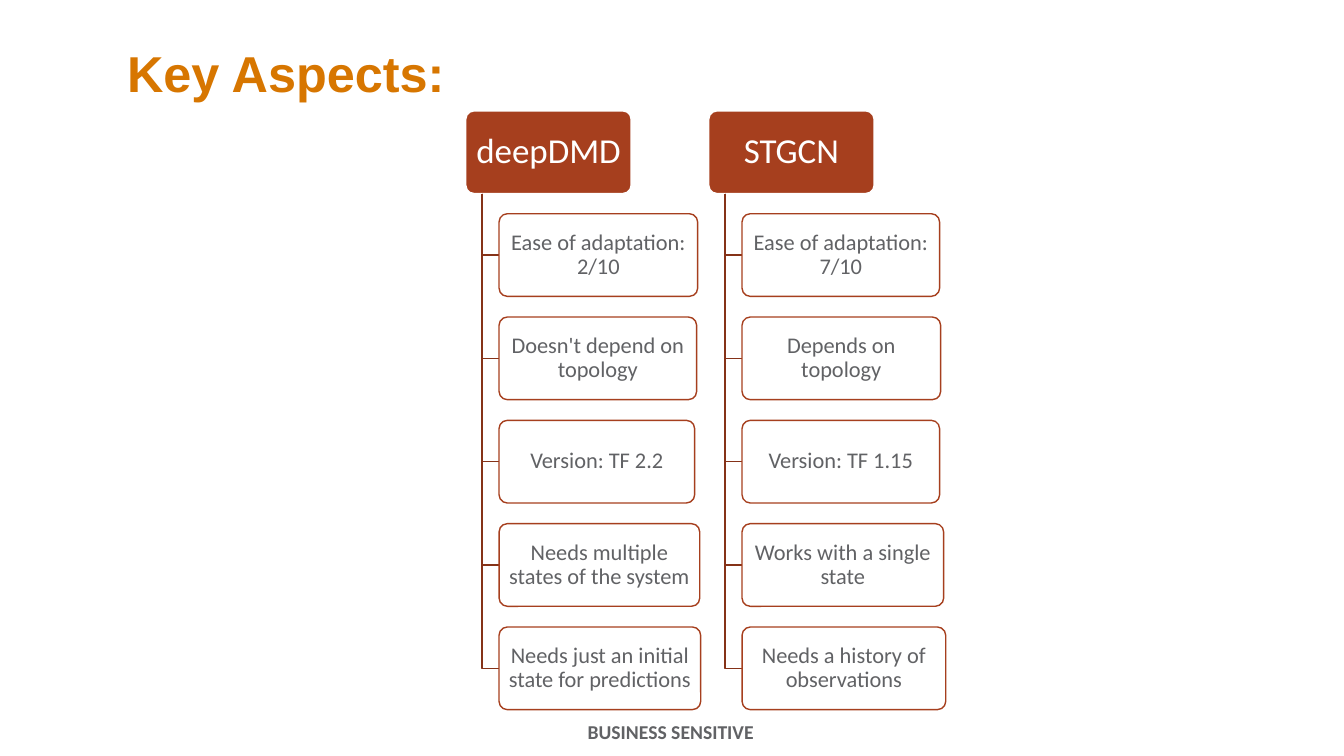
from lxml import etree
from pptx import Presentation
from pptx.dml.color import RGBColor
from pptx.enum.shapes import MSO_SHAPE
from pptx.enum.text import MSO_ANCHOR, PP_ALIGN
from pptx.oxml.ns import qn
from pptx.util import Inches, Pt

ORANGE = RGBColor(0xD7, 0x76, 0x00)
RUST = RGBColor(0xA6, 0x3F, 0x1E)
DARK_RUST = RGBColor(0x85, 0x32, 0x18)
GRAY = RGBColor(0x61, 0x62, 0x65)
WHITE = RGBColor(0xFF, 0xFF, 0xFF)

BOX_HEIGHT = 0.82
HEADER_TOP = 1.1
HEADER_WIDTH = 1.64
ROW_TOP = 2.12
ROW_STEP = 1.025
TRUNK_OFFSET = 0.16
BOX_OFFSET = 0.33

# Heading, left edge, and (text, box width) for each aspect
COLUMNS = [
    ("deepDMD", 4.62, [
        ("Ease of adaptation: 2/10", 1.97),
        ("Doesn't depend on topology", 1.96),
        ("Version: TF 2.2", 1.94),
        ("Needs multiple states of the system", 1.99),
        ("Needs just an initial state for predictions", 2.0),
    ]),
    ("STGCN", 7.03, [
        ("Ease of adaptation: 7/10", 1.96),
        ("Depends on topology", 1.97),
        ("Version: TF 1.15", 1.96),
        ("Works with a single state", 2.0),
        ("Needs a history of observations", 2.02),
    ]),
]


def set_attributes(target, values):
    for name, value in values.items():
        setattr(target, name, value)


def write_text(shape, text, size, color, font="Calibri", bold=False):
    paragraph = shape.text_frame.paragraphs[0]
    run = paragraph.add_run()
    run.text = text
    set_attributes(run.font, {"name": font, "size": Pt(size), "bold": bold})
    run.font.color.rgb = color
    return paragraph


def set_line(shape, color):
    shape.shadow.inherit = False
    shape.line.color.rgb = color
    shape.line.width = Pt(1)


def add_box(slide, left, top, width, text, size, fill, line, color, margins):
    shape = slide.shapes.add_shape(
        MSO_SHAPE.ROUNDED_RECTANGLE,
        Inches(left), Inches(top), Inches(width), Inches(BOX_HEIGHT))
    shape.adjustments[0] = 0.1
    shape.fill.solid()
    shape.fill.fore_color.rgb = fill
    set_line(shape, line)
    side, end = (Inches(margin) for margin in margins)
    set_attributes(shape.text_frame, {
        "word_wrap": True, "vertical_anchor": MSO_ANCHOR.MIDDLE,
        "margin_left": side, "margin_right": side,
        "margin_top": end, "margin_bottom": end})
    paragraph = write_text(shape, text, size, color)
    set_attributes(paragraph, {"alignment": PP_ALIGN.CENTER, "line_spacing": 0.9})
    return shape


def set_opacity(shape, percent):
    color = shape.fill._xPr.find(qn("a:solidFill"))[0]
    etree.SubElement(color, qn("a:alpha"), val=str(percent * 1000))


def add_elbow(slide, left, top, right, bottom):
    left, top, right, bottom = map(Inches, (left, top, right, bottom))
    builder = slide.shapes.build_freeform(left, top)
    builder.add_line_segments([(left, bottom), (right, bottom)], close=False)
    elbow = builder.convert_to_shape()
    elbow.fill.background()
    set_line(elbow, DARK_RUST)


def add_column(slide, heading, left, aspects):
    add_box(slide, left, HEADER_TOP, HEADER_WIDTH, heading, 25,
            RUST, WHITE, WHITE, (0.05, 0.03))
    box_left = left + BOX_OFFSET
    for row, (text, width) in enumerate(aspects):
        top = ROW_TOP + row * ROW_STEP
        add_elbow(slide, left + TRUNK_OFFSET, HEADER_TOP + BOX_HEIGHT,
                  box_left, top + BOX_HEIGHT / 2)
        box = add_box(slide, box_left, top, width, text, 16,
                      WHITE, RUST, GRAY, (0.03, 0.02))
        set_opacity(box, 90)


def add_title(slide):
    title = slide.shapes.title
    set_attributes(title, {
        "left": Inches(1.16), "top": Inches(0.28),
        "width": Inches(10.74), "height": Inches(0.95)})
    title.text_frame.vertical_anchor = MSO_ANCHOR.MIDDLE
    paragraph = write_text(title, "Key Aspects:", 36, ORANGE, "Arial", True)
    set_attributes(paragraph, {"alignment": PP_ALIGN.LEFT, "line_spacing": 0.9})


def add_marking(slide):
    marking = slide.shapes.add_textbox(
        Inches(5.73), Inches(7.09), Inches(1.87), Inches(0.34))
    marking.text_frame.word_wrap = False
    write_text(marking, "BUSINESS SENSITIVE", 14, GRAY, bold=True)


def main():
    presentation = Presentation()
    presentation.slide_width = Inches(13.33)
    presentation.slide_height = Inches(7.5)
    slide = presentation.slides.add_slide(presentation.slide_layouts[5])

    # Title and sensitivity marking
    add_marking(slide)
    add_title(slide)

    # Comparison columns
    for heading, left, aspects in COLUMNS:
        add_column(slide, heading, left, aspects)

    presentation.save("out.pptx")


if __name__ == "__main__":
    main()
